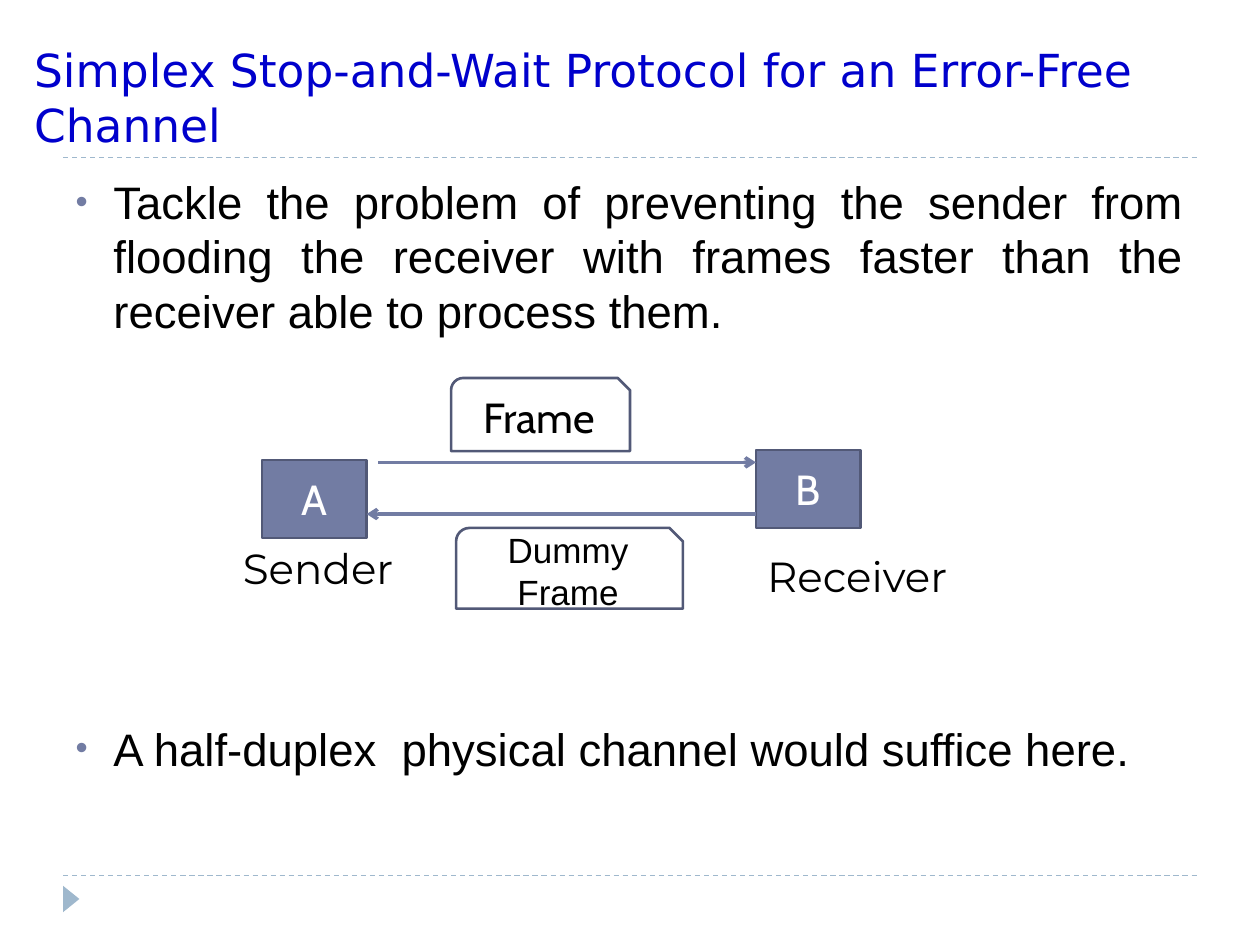
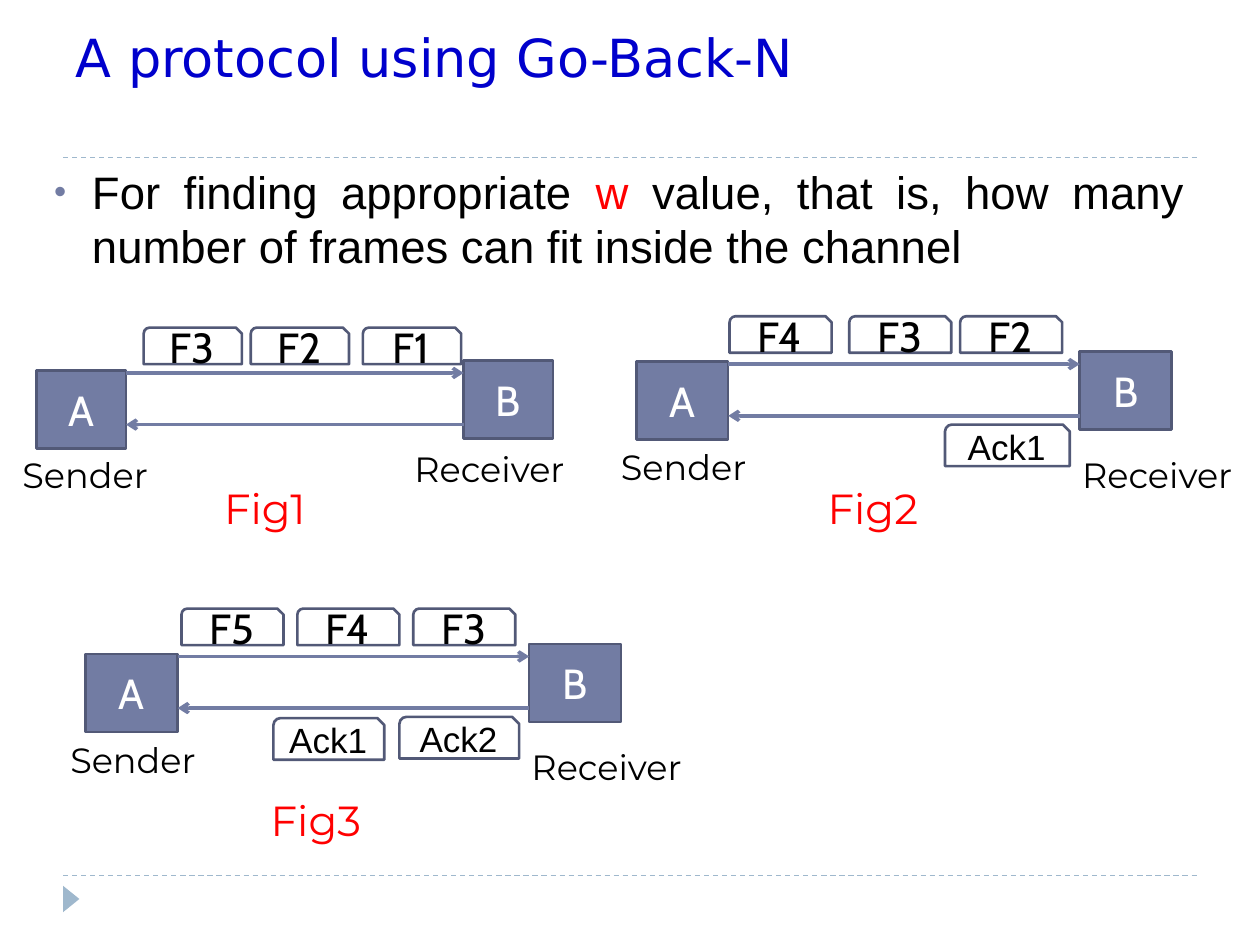
from dataclasses import dataclass

from lxml import etree
from pptx import Presentation
from pptx import util as u
from pptx.dml.color import RGBColor
from pptx.enum import dml, shapes, text
from pptx.oxml import ns

PX = 9144  # EMU in one px, 100 px to the inch


@dataclass(frozen=True)
class Theme:
    title: str = "0000CC"
    ink: str = "000000"
    paper: str = "FFFFFF"
    accent: str = "727CA3"
    outline: str = "525977"
    rule: str = "9FB8CD"
    highlight: str = "FF0000"
    title_font: str = "DejaVu Sans"
    body_font: str = "Arial"
    node_font: str = "Cabin"
    label_font: str = "Montserrat"
    body_size: int = 26
    large: int = 24
    small: int = 20


THEME = Theme()


@dataclass
class Tag:
    """A frame or acknowledgement, placed relative to its exchange."""
    label: str
    left: int
    top: int
    width: int
    height: int
    font: str = THEME.node_font
    size: int = THEME.large


@dataclass
class Exchange:
    """Sender A and receiver B, with the tags that travel between them."""
    left: int
    top: int
    width: int
    node_width: int
    tags: list
    sender_at: tuple
    receiver_at: tuple
    label_size: int = THEME.small
    start_gap: int = 0


def px(*lengths):
    return [u.Emu(length * PX) for length in lengths]


def colour(value):
    return RGBColor.from_string(value)


def format_runs(paragraph, font, size, value):
    for run in paragraph.runs:
        run.font.name = font
        run.font.size = u.Pt(size)
        run.font.color.rgb = colour(value)


def set_frame(frame, anchor, side=10):
    frame.word_wrap = True
    frame.auto_size = text.MSO_AUTO_SIZE.NONE
    frame.vertical_anchor = anchor
    frame.margin_left, frame.margin_right = px(side, side)
    frame.margin_top, frame.margin_bottom = px(5, 5)


def move(shape, box):
    shape.left, shape.top, shape.width, shape.height = px(*box)


# Shared parts of every slide

def add_line(slide, start, end, value, width):
    line = slide.shapes.add_connector(
        shapes.MSO_CONNECTOR.STRAIGHT, *px(*start, *end))
    line.line.color.rgb = colour(value)
    line.line.width = u.Pt(width)
    etree.SubElement(line.element.spPr, ns.qn("a:effectLst"))
    return line


def add_decoration(slide):
    for y in (125, 695):
        rule = add_line(slide, (50, y), (950, y), THEME.rule, 0.75)
        rule.line.dash_style = dml.MSO_LINE.DASH
    marker = slide.shapes.add_shape(
        shapes.MSO_SHAPE.ISOSCELES_TRIANGLE, *px(46, 707, 21, 13))
    marker.rotation = 90
    marker.shadow.inherit = False
    marker.fill.solid()
    marker.fill.fore_color.rgb = colour(THEME.rule)
    marker.line.fill.background()


def fill_title(slide, box, words, size):
    title = slide.shapes.title
    move(title, box)
    set_frame(title.text_frame, text.MSO_ANCHOR.BOTTOM)
    title.text_frame.text = words
    paragraph = title.text_frame.paragraphs[0]
    paragraph.alignment = text.PP_ALIGN.LEFT
    format_runs(paragraph, THEME.title_font, size, THEME.title)


def add_bullet(paragraph):
    properties = paragraph._p.get_or_add_pPr()
    properties.set("marL", str(30 * PX))
    properties.set("indent", str(-30 * PX))
    bullet_colour = etree.SubElement(properties, ns.qn("a:buClr"))
    etree.SubElement(bullet_colour, ns.qn("a:srgbClr"), val=THEME.accent)
    etree.SubElement(properties, ns.qn("a:buSzPct"), val="76000")
    etree.SubElement(properties, ns.qn("a:buFont"), typeface=THEME.body_font)
    etree.SubElement(properties, ns.qn("a:buChar"), char="•")


def fill_body(body, box, words, keyword=None):
    """Write one justified bullet, with the keyword in the highlight colour."""
    move(body, box)
    set_frame(body.text_frame, text.MSO_ANCHOR.TOP)
    paragraph = body.text_frame.paragraphs[0]
    add_bullet(paragraph)
    paragraph.alignment = text.PP_ALIGN.JUSTIFY
    paragraph.space_before = u.Pt(0)
    before, found, after = words.partition(keyword) if keyword else (words, "", "")
    for part in filter(None, (before, found, after)):
        paragraph.add_run().text = part
    format_runs(paragraph, THEME.body_font, THEME.body_size, THEME.ink)
    if found:
        paragraph.runs[1].font.color.rgb = colour(THEME.highlight)


# Parts of an exchange

def add_box(slide, kind, box, label, font, size, value, fill=None, side=10):
    shape = slide.shapes.add_shape(kind, *px(*box))
    shape.shadow.inherit = False
    if fill:
        shape.fill.solid()
        shape.fill.fore_color.rgb = colour(fill)
    else:
        shape.fill.background()
    shape.line.color.rgb = colour(THEME.outline)
    shape.line.width = u.Pt(1.5)
    set_frame(shape.text_frame, text.MSO_ANCHOR.MIDDLE, side)
    shape.text_frame.text = label
    paragraph = shape.text_frame.paragraphs[0]
    paragraph.alignment = text.PP_ALIGN.CENTER
    format_runs(paragraph, font, size, value)


def add_label(slide, box, words, size, value=THEME.ink):
    label = slide.shapes.add_textbox(*px(*box))
    set_frame(label.text_frame, text.MSO_ANCHOR.TOP)
    label.text_frame.text = words
    format_runs(label.text_frame.paragraphs[0], THEME.label_font, size, value)


def add_arrow(slide, start, end):
    arrow = add_line(slide, start, end, THEME.accent, 2)
    outline = arrow.line._get_or_add_ln()
    etree.SubElement(outline, ns.qn("a:tailEnd"), type="arrow")


def add_exchange(slide, exchange):
    left, top = exchange.left, exchange.top
    sender_right = left + exchange.node_width
    receiver_left = left + exchange.width - exchange.node_width

    # Nodes
    for name, x, y in (("A", left, top + 8), ("B", receiver_left, top)):
        add_box(slide, shapes.MSO_SHAPE.RECTANGLE,
                (x, y, exchange.node_width, 62), name,
                THEME.node_font, THEME.large, THEME.paper, THEME.accent)

    # Forward and return channels
    add_arrow(slide, (sender_right + exchange.start_gap, top + 10),
              (receiver_left, top + 10))
    add_arrow(slide, (receiver_left, top + 51), (sender_right, top + 51))

    # Frames and acknowledgements
    for tag in exchange.tags:
        add_box(slide, shapes.MSO_SHAPE.SNIP_ROUND_RECTANGLE,
                (left + tag.left, top + tag.top, tag.width, tag.height),
                tag.label, tag.font, tag.size, THEME.ink, side=5)

    # Node names
    for words, (x, y) in (("Sender", exchange.sender_at),
                          ("Receiver", exchange.receiver_at)):
        add_label(slide, (left + x, top + y, 150 + exchange.start_gap * 3, 44),
                  words, exchange.label_size)


def frame_row(labels, offsets, top, width):
    return [Tag(label, x, top, width, 29) for label, x in zip(labels, offsets)]


def reply(label, left, top, width, height=33):
    return Tag(label, left, top, width, height, THEME.body_font, THEME.small)


# Slides

def build_stop_and_wait(presentation):
    slide = presentation.slides.add_slide(presentation.slide_layouts[3])
    add_decoration(slide)
    fill_title(slide, (17, 25, 958, 100),
               "Simplex Stop-and-Wait Protocol for an Error-Free Channel", 26)
    fill_body(slide.placeholders[1], (50, 133, 900, 158),
              "Tackle the problem of preventing the sender from flooding the "
              "receiver with frames faster than the receiver able to process "
              "them.")
    fill_body(slide.placeholders[2], (50, 567, 900, 79),
              "A half-duplex  physical channel would suffice here.")
    add_exchange(slide, Exchange(
        208, 357, 475, 83,
        [Tag("Frame", 150, -57, 142, 58), reply("Dummy Frame", 154, 62, 180, 64)],
        (-25, 69), (391, 75), THEME.large, start_gap=9))


def build_go_back_n(presentation):
    slide = presentation.slides.add_slide(presentation.slide_layouts[1])
    add_decoration(slide)
    fill_title(slide, (50, 17, 900, 58), "A protocol using Go-Back-N", 30)
    fill_body(slide.placeholders[1], (33, 125, 917, 100),
              "For finding appropriate w value, that is, how many number of "
              "frames can fit inside the channel", "w")

    exchanges = [
        Exchange(29, 286, 410, 71,
                 frame_row(("F3", "F2", "F1"), (85, 170, 259), -26, 78),
                 (-21, 69), (290, 64)),
        Exchange(505, 279, 425, 73,
                 frame_row(("F4", "F3", "F2"), (74, 169, 257), -28, 81)
                 + [reply("Ack1", 245, 58, 99)],
                 (-22, 70), (344, 76)),
        Exchange(68, 511, 425, 73,
                 frame_row(("F5", "F4", "F3"), (76, 168, 260), -28, 81)
                 + [reply("Ack1", 149, 59, 88), reply("Ack2", 249, 58, 95)],
                 (-22, 70), (344, 76)),
    ]
    captions = [(168, 378), (647, 378), (205, 626)]
    for number, (exchange, place) in enumerate(zip(exchanges, captions), 1):
        add_exchange(slide, exchange)
        add_label(slide, (*place, 113, 50), f"Fig{number}",
                  THEME.large, THEME.highlight)


def main():
    presentation = Presentation()
    presentation.slide_width, presentation.slide_height = px(1000, 750)
    build_stop_and_wait(presentation)
    build_go_back_n(presentation)
    presentation.save("out.pptx")


if __name__ == "__main__":
    main()
